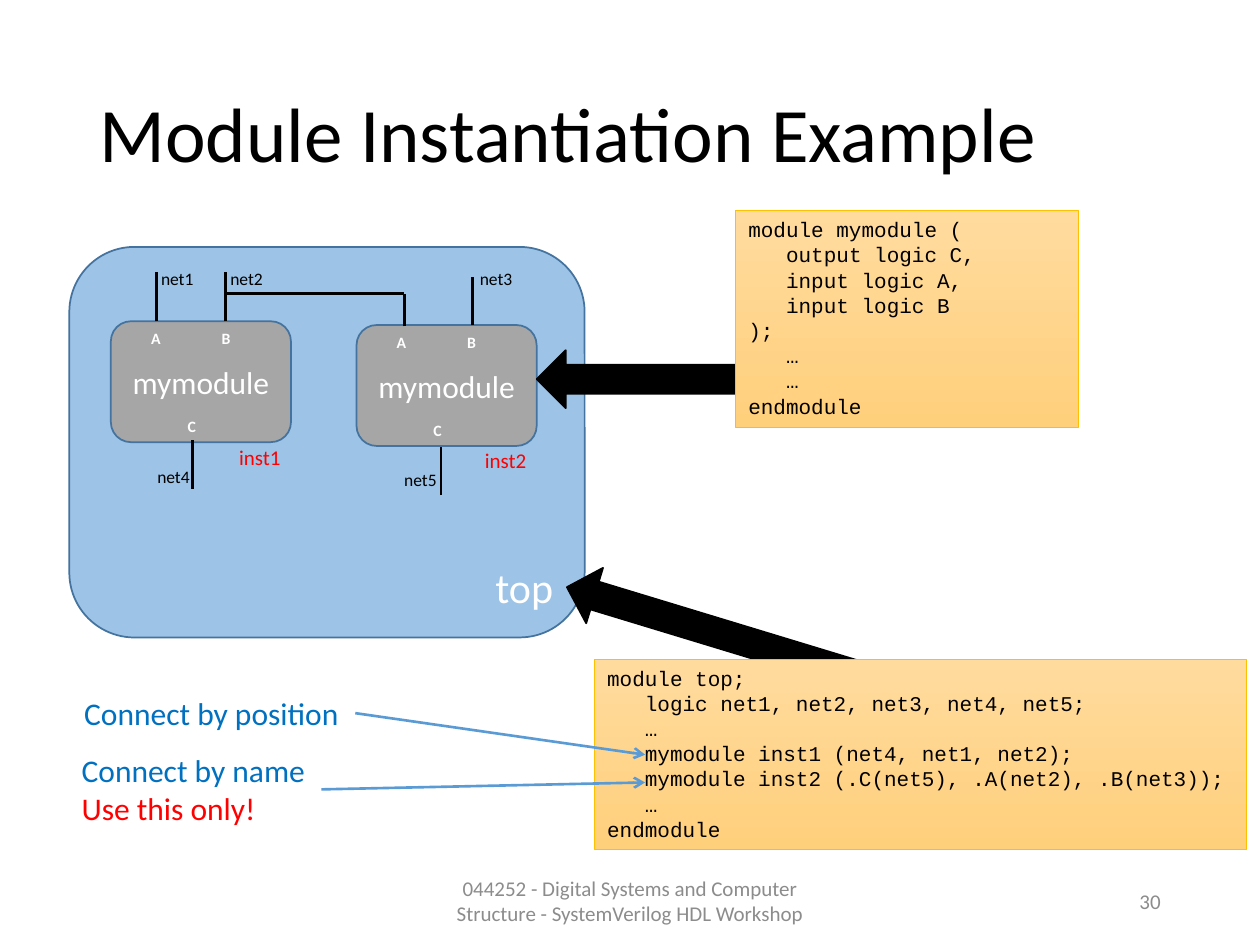
"""Build the slide on module instantiation in SystemVerilog."""
from lxml.etree import SubElement
from pptx import Presentation
from pptx.dml.color import RGBColor
from pptx.enum.shapes import MSO_CONNECTOR as Conn, MSO_SHAPE as Shape
from pptx.enum.text import MSO_ANCHOR as Anchor, PP_ALIGN as Align
from pptx.oxml.ns import qn
from pptx.util import Emu, Pt

PX = 9144
INDENT = 30
BLACK, WHITE, GREY, RED = "000000", "FFFFFF", "8C8C8C", "FF0000"
EDGE, NAVY, BLUE = "43739E", "0070C0", "5B9BD5"

TITLE = "Module Instantiation Example"
FOOT = "044252 - Digital Systems and Computer Structure - SystemVerilog HDL Workshop"
PAGE = "30"
TOP = ("top", (55, 196, 409, 310))
MODS = [(88, 255), (283, 258)]
PORTS = [("A", 22, 1), ("B", 78, 1), ("C", 51, 71)]
INSTS = [("inst1", 180, 348), ("inst2", 375, 350)]
NETS = [("net1", 118, 208), ("net2", 173, 208), ("net3", 371, 208),
        ("net4", 115, 365), ("net5", 311, 367)]
WIRES = [(124, 255, 124, 216), (179, 255, 179, 216), (321, 259, 321, 233),
         (375, 258, 375, 220), (153, 388, 153, 349), (350, 393, 350, 355),
         (321, 233, 179, 233)]
ARROWS = [((426, 278, 158, 46), 0), ((444, 483, 275, 46), 16.9)]
CODES = [
    ((584, 167, 272, 172), [
        (0, "module mymodule ("), (1, "output logic C,"), (1, "input logic A,"),
        (1, "input logic B"), (0, ");"), (1, "…"), (1, "…"), (0, "endmodule")]),
    ((472, 523, 517, 151), [
        (0, "module top;"), (1, "logic net1, net2, net3, net4, net5;"), (1, "…"),
        (1, "mymodule inst1 (net4, net1, net2);"),
        (1, "mymodule inst2 (.C(net5), .A(net2), .B(net3));"),
        (1, "…"), (0, "endmodule")]),
]
NOTES = [
    ((57, 546, 225, 40), [("Connect by position", NAVY)], (512, 599)),
    ((55, 591, 200, 71), [("Connect by name", NAVY), ("Use this only!", RED)], (512, 621)),
]


def px(*nums):
    return [Emu(n * PX) for n in nums]


def rgb(code):
    return RGBColor.from_string(code)


def style(para, size, color, face="Calibri", bold=False, align=Align.LEFT):
    para.alignment = align
    for run in para.runs:
        font = run.font
        font.size, font.name, font.bold = Pt(size), face, bold
        font.color.rgb = rgb(color)


def label(box, lines, size, wrap=False, anchor=Anchor.TOP, **look):
    item = slide.shapes.add_textbox(*px(*box))
    frame = item.text_frame
    frame.word_wrap, frame.vertical_anchor = wrap, anchor
    frame.text = "\n".join(text for text, _ in lines)
    for para, (_, color) in zip(frame.paragraphs, lines):
        style(para, size, color, **look)
    return item


def block(kind, box, fill, edge, width=1):
    item = slide.shapes.add_shape(kind, *px(*box))
    item.shadow.inherit = False
    if isinstance(fill, str):
        item.fill.solid()
        item.fill.fore_color.rgb = rgb(fill)
    else:
        item.fill.gradient()
        item.fill.gradient_angle = 270
        for stop, color in zip(item.fill.gradient_stops, fill):
            stop.color.rgb = rgb(color)
    item.line.color.rgb = rgb(edge)
    item.line.width = Pt(width)
    return item


def named(box, text, fill, size, anchor, align):
    frame = block(Shape.ROUNDED_RECTANGLE, box, fill, EDGE).text_frame
    frame.text, frame.vertical_anchor = text, anchor
    style(frame.paragraphs[0], size, WHITE, align=align)


def wire(ends, color):
    item = slide.shapes.add_connector(Conn.STRAIGHT, *px(*ends))
    item.line.color.rgb = rgb(color)
    item.line.width = Pt(1.5)
    SubElement(item._element.spPr, qn("a:effectLst"))
    return item


def code(box, lines):
    frame = block(Shape.RECTANGLE, box, ("FFDB9E", "FFD07C"), "FFC000", 0.5).text_frame
    frame.word_wrap, frame.vertical_anchor = True, Anchor.TOP
    frame.text = "\n".join(text for _, text in lines)
    for para, (level, _) in zip(frame.paragraphs, lines):
        style(para, 12, BLACK, "Courier New")
        para._p.get_or_add_pPr().set("marL", str(level * INDENT * PX))


deck = Presentation()
deck.slide_width, deck.slide_height = px(1000, 750)
slide = deck.slides.add_slide(deck.slide_layouts[5])

head = slide.shapes.title
head.left, head.top, head.width, head.height = px(69, 37, 862, 145)
head.text_frame.text = TITLE
head.text_frame.vertical_anchor = Anchor.MIDDLE
head.text_frame.paragraphs[0].line_spacing = 0.9
style(head.text_frame.paragraphs[0], 44, BLACK)

for box, text, align in [((331, 695, 338, 40), FOOT, Align.CENTER),
                         ((706, 695, 225, 40), PAGE, Align.RIGHT)]:
    label(box, [(text, GREY)], 12, True, Anchor.MIDDLE, align=align)

named(TOP[1], TOP[0], "9DC3E6", 24, Anchor.BOTTOM, Align.RIGHT)
for x, y in MODS:
    named((x, y, 143, 96), "mymodule", "A6A6A6", 18, Anchor.MIDDLE, Align.CENTER)
    for port, dx, dy in PORTS:
        label((x + dx, y + dy, 28, 25), [(port, WHITE)], 9, bold=True)
for text, x, y in INSTS:
    label((x, y, 53, 30), [(text, RED)], 12)
for ends in WIRES:
    wire(ends, BLACK)
for text, x, y in NETS:
    label((x, y, 46, 27), [(text, BLACK)], 10)
for box, turn in ARROWS:
    block(Shape.LEFT_ARROW, box, BLACK, BLACK).rotation = turn
for box, lines in CODES:
    code(box, lines)
for box, lines, tip in NOTES:
    note = label(box, lines, 18)
    x, y, w, h = box
    link = wire((x + w, y + h // 2, *tip), BLUE)
    link.begin_connect(note, 3)
    SubElement(link.line._get_or_add_ln(), qn("a:tailEnd")).set("type", "arrow")

deck.save("out.pptx")
